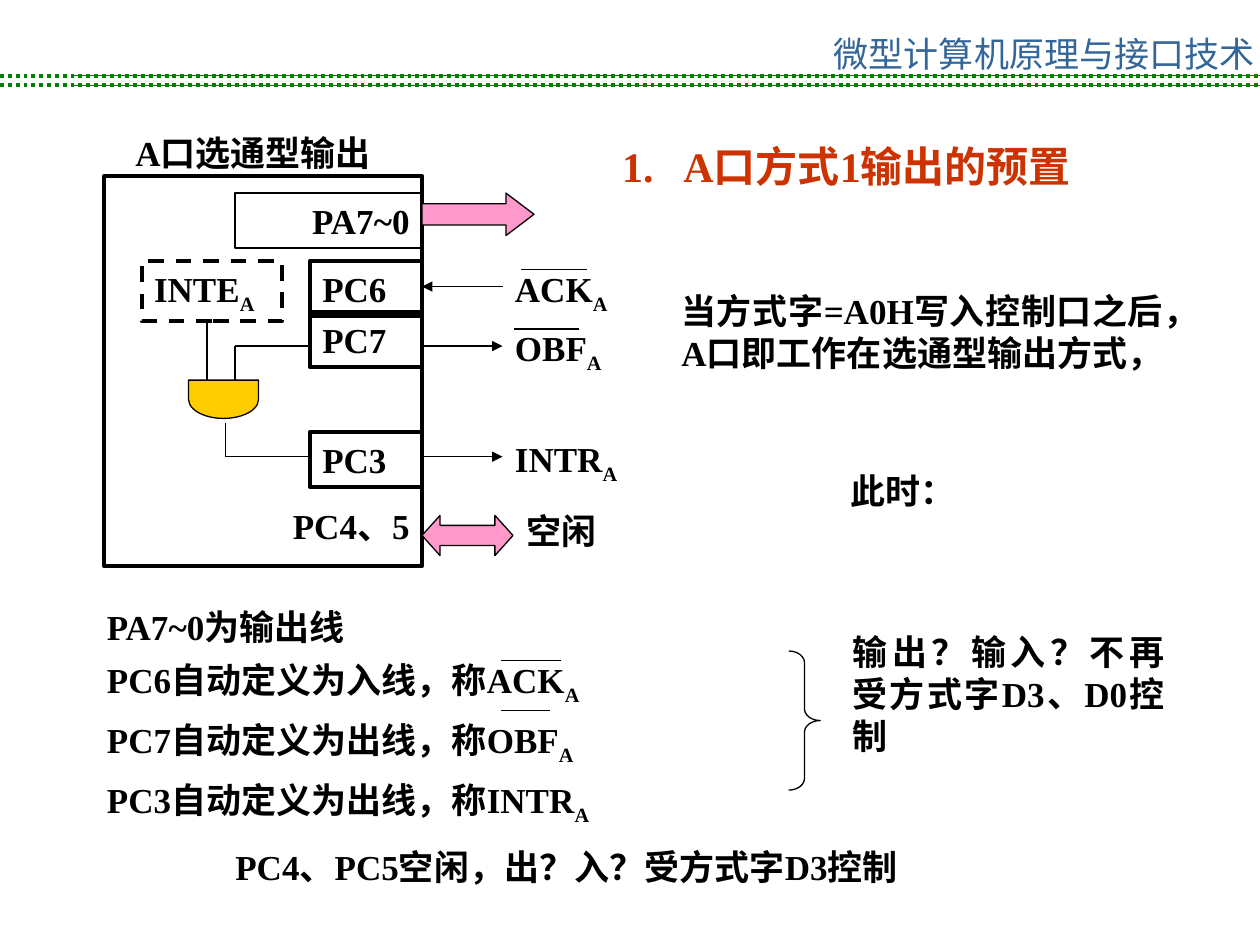
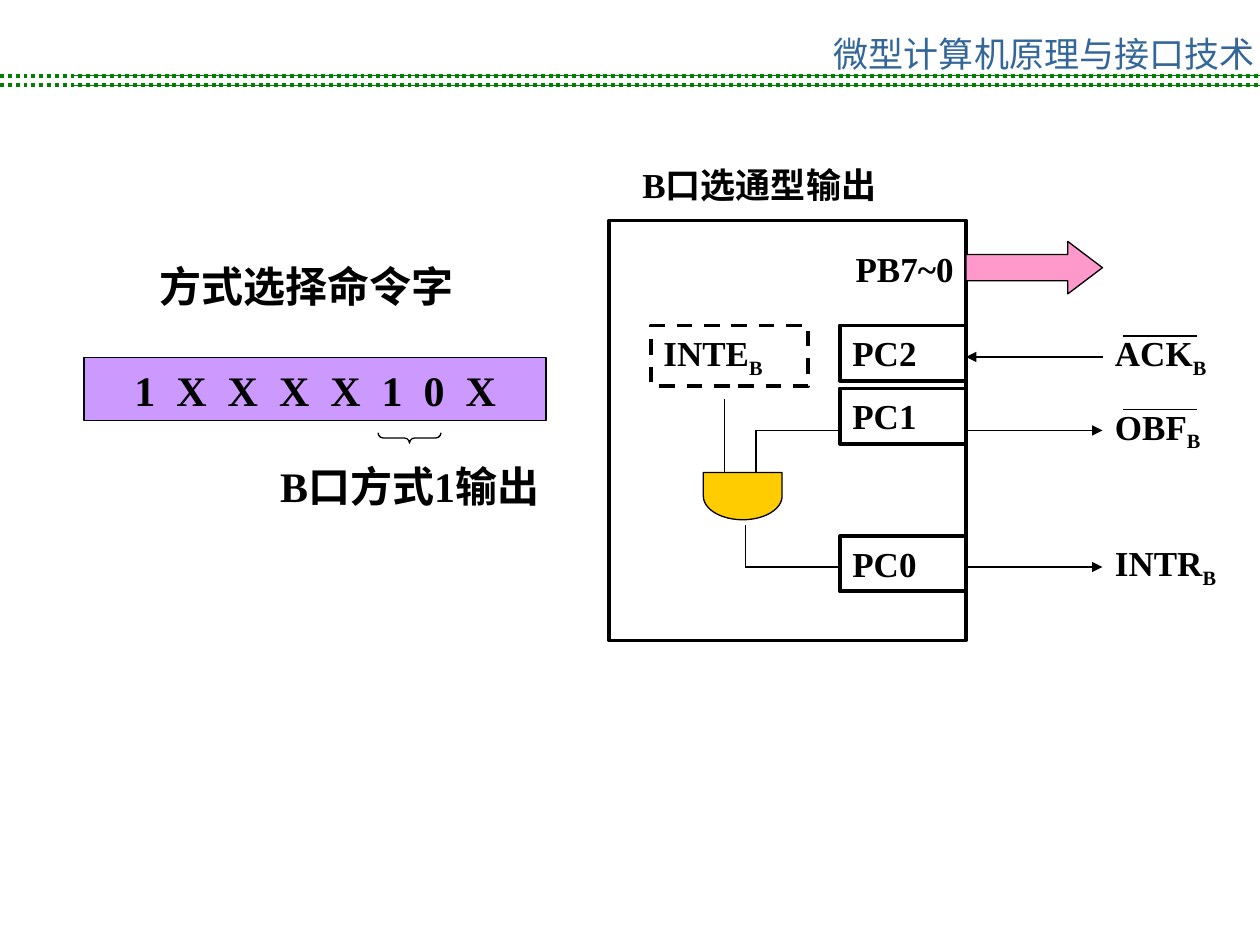
from dataclasses import dataclass
from typing import NamedTuple

from lxml import etree
from pptx import Presentation
from pptx.dml.color import RGBColor
from pptx.enum.dml import MSO_LINE_DASH_STYLE as Dash
from pptx.enum.shapes import MSO_CONNECTOR as Connector, MSO_SHAPE as Shape
from pptx.enum.text import MSO_ANCHOR as Anchor, PP_ALIGN as Align
from pptx.oxml.ns import qn
from pptx.util import Pt


@dataclass(frozen=True)
class Theme:
    ink: str = "000000"
    course: str = "336699"
    rule: str = "008000"
    heading: str = "CC3300"
    gate: str = "FFCC00"
    data_arrow: str = "FF99CC"
    command: str = "CC99FF"
    body_size: float = 20
    heading_size: float = 24
    thin: float = 0.75
    thick: float = 2.25
    latin: str = "Times New Roman"
    chinese: str = "Noto Sans CJK SC"


THEME = Theme()


class Box(NamedTuple):
    left: float
    top: float
    width: float
    height: float


class Signal(NamedTuple):
    """One handshake line; heights are measured from the chip's top."""
    name: str
    pin: str
    pin_top: float
    label_top: float
    wire_y: float
    incoming: bool = False
    bar_y: float = 0
    bar_inset: float = 0


@dataclass(frozen=True)
class Port:
    letter: str
    left: float
    top: float
    x_scale: float
    y_scale: float
    chip_height: float
    wire_length: float
    label_width: float
    arrow_width: float
    data_pins: str
    data_outlined: bool
    signals: tuple[Signal, ...]

    def x(self, offset: float) -> float:
        return self.left + offset * self.x_scale

    def y(self, offset: float) -> float:
        return self.top + offset * self.y_scale

    def box(self, left: float, top: float, width: float, height: float) -> Box:
        """Scale a place in the chip; text rows keep their own height."""
        return Box(self.x(left), self.y(top), width * self.x_scale, height)


def rgb(value: str) -> RGBColor:
    return RGBColor.from_string(value)


# Drawing helpers
def write(target, text: str, *, size: float = THEME.body_size, color: str = THEME.ink,
          bold: bool = True, font: str = THEME.latin, align=Align.LEFT,
          spacing: float = 1, inset: float = 7.2, right_inset: float = 7.2,
          tabs: tuple[float, ...] = ()) -> None:
    """Write paragraphs split by newlines; what follows "_" is a subscript."""
    frame = target.text_frame
    frame.word_wrap = True
    frame.vertical_anchor = Anchor.TOP
    frame.margin_left, frame.margin_right = Pt(inset), Pt(right_inset)
    frame.margin_top = frame.margin_bottom = Pt(3.6)
    for index, line in enumerate(text.split("\n")):
        paragraph = frame.add_paragraph() if index else frame.paragraphs[0]
        paragraph.alignment = align
        paragraph.line_spacing = spacing
        if tabs:
            stops = etree.SubElement(paragraph._p.get_or_add_pPr(), qn("a:tabLst"))
            for stop in tabs:
                etree.SubElement(stops, qn("a:tab"), pos=str(Pt(stop)), algn="l")
        for level, part in enumerate(line.split("_")):
            run = paragraph.add_run()
            run.text = part
            run.font.size, run.font.bold, run.font.name = Pt(size), bold, font
            run.font.color.rgb = rgb(color)
            properties = run._r.get_or_add_rPr()
            etree.SubElement(properties, qn("a:ea"), typeface=THEME.chinese)
            if level:
                properties.set("baseline", "-25000")


def add_text(slide, box: Box, text: str, **style) -> None:
    write(slide.shapes.add_textbox(*map(Pt, box)), text, **style)


def add_shape(slide, kind, box: Box, *, fill: str = "", weight: float = THEME.thin,
              dashed: bool = False, rotation: float = 0,
              adjust: tuple[float, ...] = ()):
    shape = slide.shapes.add_shape(kind, *map(Pt, box))
    shape.shadow.inherit = False
    shape.rotation = rotation
    for index, value in enumerate(adjust):
        shape.adjustments[index] = value
    if fill:
        shape.fill.solid()
        shape.fill.fore_color.rgb = rgb(fill)
    else:
        shape.fill.background()
    shape.line.color.rgb = rgb(THEME.ink)
    shape.line.width = Pt(weight)
    if dashed:
        shape.line.dash_style = Dash.DASH
    return shape


def add_line(slide, x1: float, y1: float, x2: float, y2: float, *,
             color: str = THEME.ink, weight: float = THEME.thin, arrow: str = "",
             dotted: bool = False) -> None:
    """Draw a line; arrow is "headEnd" for its start or "tailEnd" for its end."""
    line = slide.shapes.add_connector(Connector.STRAIGHT, *map(Pt, (x1, y1, x2, y2)))
    line.line.color.rgb = rgb(color)
    line.line.width = Pt(weight)
    if dotted:
        line.line.dash_style = Dash.ROUND_DOT
    if arrow:
        etree.SubElement(line.line._get_or_add_ln(), qn(f"a:{arrow}"), type="triangle")
    etree.SubElement(line._element.spPr, qn("a:effectLst"))


def add_brace(slide, box: Box, rotation: float = 0) -> None:
    curl = box.height / 12 / box.width
    add_shape(slide, Shape.RIGHT_BRACE, box, rotation=rotation, adjust=(curl, 0.5))


def add_page(deck):
    """Add a blank slide with the course name and the double dotted green rule."""
    slide = deck.slides.add_slide(deck.slide_layouts[6])
    add_text(slide, Box(469.4, 15, 250.6, 36), "微型计算机原理与接口技术", bold=False,
             color=THEME.course, font=THEME.chinese, right_inset=0)
    for core_left, y in ((41, 43.2), (42.5, 48.8)):
        add_line(slide, core_left, y, 720, y, color=THEME.rule)
        add_line(slide, 0, y, 720, y, color=THEME.rule, weight=THEME.thick, dotted=True)
    return slide


# Port diagram, laid out from the chip's top left corner
CHIP_WIDTH, PIN_LEFT, ROW, SUB_ROW = 204, 132, 31.5, 34.5
GATE_INPUTS, GATE_TOP, GATE_WIDTH, GATE_HEIGHT = (66, 84), 144, 45, 27


def draw_port(slide, port: Port) -> None:
    edge = port.x(CHIP_WIDTH)
    pin_x = port.x(PIN_LEFT)
    wire_end = edge + port.wire_length
    _, feedback, interrupt = port.signals

    add_text(slide, port.box(12, -36, CHIP_WIDTH, ROW), f"{port.letter}口选通型输出")
    add_shape(slide, Shape.RECTANGLE,
              Box(port.left, port.top, edge - port.left, port.chip_height),
              weight=THEME.thick)

    # Data pins
    data_box = port.box(84, 12, 120, ROW)
    if port.data_outlined:
        write(add_shape(slide, Shape.RECTANGLE, data_box), port.data_pins, align=Align.RIGHT)
    else:
        add_text(slide, data_box, port.data_pins, align=Align.RIGHT)
    add_shape(slide, Shape.RIGHT_ARROW,
              Box(edge, port.y(12), port.arrow_width, 30 * port.y_scale),
              fill=THEME.data_arrow, adjust=(0.5, 0.66))

    # Handshake pins and their signals
    for signal in port.signals:
        pin = add_shape(slide, Shape.RECTANGLE,
                        port.box(PIN_LEFT, signal.pin_top, CHIP_WIDTH - PIN_LEFT, ROW),
                        weight=THEME.thick)
        write(pin, signal.pin)
        wire_y = port.y(signal.wire_y)
        add_line(slide, edge, wire_y, wire_end, wire_y,
                 arrow="headEnd" if signal.incoming else "tailEnd")
        add_text(slide, Box(wire_end, port.y(signal.label_top), port.label_width, SUB_ROW),
                 f"{signal.name}_{port.letter}")
        if signal.bar_y:
            bar_x, bar_y = wire_end + signal.bar_inset, port.y(signal.bar_y)
            add_line(slide, bar_x, bar_y, bar_x + 42 * port.x_scale, bar_y)

    # Interrupt enable and its gate
    enable = add_shape(slide, Shape.RECTANGLE, port.box(24, 60, 90, SUB_ROW),
                       weight=THEME.thick, dashed=True)
    write(enable, f"INTE_{port.letter}")
    enable_x, feedback_x = map(port.x, GATE_INPUTS)
    gate_top, feedback_y = port.y(GATE_TOP), port.y(feedback.wire_y)
    add_line(slide, enable_x, port.y(102), enable_x, gate_top)
    add_line(slide, feedback_x, feedback_y, feedback_x, gate_top)
    add_line(slide, feedback_x, feedback_y, pin_x, feedback_y)

    width, height = GATE_WIDTH * port.x_scale, GATE_HEIGHT * port.y_scale
    center_x, center_y = (enable_x + feedback_x) / 2 + 1.4, gate_top + height / 2
    add_shape(slide, Shape.FLOWCHART_DELAY,
              Box(center_x - height / 2, center_y - width / 2, height, width),
              fill=THEME.gate, rotation=90)
    output_x, output_y = port.x(78), port.y(interrupt.wire_y)
    add_line(slide, output_x, port.y(174), output_x, output_y)
    add_line(slide, output_x, output_y, pin_x, output_y)


def signals(pins: tuple[str, str, str], bar_insets: tuple[float, float]) -> tuple[Signal, ...]:
    return (
        Signal("ACK", pins[0], 60, 60, 78, True, 66, bar_insets[0]),
        Signal("OBF", pins[1], 96, 102, 120, False, 108, bar_insets[1]),
        Signal("INTR", pins[2], 180.5, 180, 198),
    )


PORT_A = Port("A", 59.6, 100.6, 0.89, 0.81, 223, 46, 74, 64, "PA7~0", True,
              signals(("PC6", "PC7", "PC3"), (10.8, 6.5)))
PORT_B = Port("B", 348, 126, 1, 1, 240, 78, 90, 78, "PB7~0", False,
              signals(("PC2", "PC1", "PC0"), (12, 12)))


# Slides
def port_a_slide(deck) -> None:
    slide = add_page(deck)
    draw_port(slide, PORT_A)

    # Idle pins
    edge = PORT_A.x(CHIP_WIDTH)
    add_text(slide, Box(edge - 118, 284.5, 118, ROW), "PC4、5", align=Align.RIGHT)
    add_shape(slide, Shape.LEFT_RIGHT_ARROW, Box(edge, 294.5, 52, 23),
              fill=THEME.data_arrow, adjust=(0.5, 0.45))
    add_text(slide, Box(294, 287.5, 68, ROW), "空闲")

    # Explanation
    add_text(slide, Box(348.5, 77, 340.5, 36), "1.\tA口方式1输出的预置",
             size=THEME.heading_size, color=THEME.heading, tabs=(35,))
    for box, note in (
        (Box(382.3, 162, 289.5, 79), "当方式字=A0H写入控制口之后，A口即工作在选通型输出方式，"),
        (Box(479, 264.5, 102, ROW), "此时："),
        (Box(480.2, 356.5, 192.3, 79), "输出？输入？不再受方式字D3、D0控制"),
        (Box(127.4, 479.5, 419, ROW), "PC4、PC5空闲，出？入？受方式字D3控制"),
    ):
        add_text(slide, box, note, align=Align.JUSTIFY)

    # Pin roles
    add_text(slide, Box(54, 336.2, 334, 140),
             "PA7~0为输出线\nPC6自动定义为入线，称ACK_A\n"
             "PC7自动定义为出线，称OBF_A\nPC3自动定义为出线，称INTR_A",
             align=Align.JUSTIFY, spacing=1.25)
    for bar_y, bar_width in ((377.6, 34), (406, 28)):
        add_line(slide, 286.5, bar_y, 286.5 + bar_width, bar_y)
    add_brace(slide, Box(450.7, 372, 18, 79.5))


def port_b_slide(deck) -> None:
    slide = add_page(deck)

    # Mode command word
    add_text(slide, Box(84, 145.5, 204, 36), "方式选择命令字", size=THEME.heading_size)
    bits = "1XXXX10X"
    advances = [29.33 if bit == "X" else 24 for bit in bits]
    command = add_shape(slide, Shape.RECTANGLE, Box(48, 204.5, 264, 36), fill=THEME.command)
    write(command, "\t".join(bits), size=THEME.heading_size, inset=28.8,
          tabs=tuple(round(sum(advances[:n]), 2) for n in range(1, len(bits))))
    add_brace(slide, Box(231, 232.3, 6, 36), rotation=90)
    add_text(slide, Box(132, 259.5, 204, 36), "B口方式1输出",
             size=THEME.heading_size, align=Align.CENTER)

    draw_port(slide, PORT_B)


def main() -> None:
    deck = Presentation()
    deck.slide_width, deck.slide_height = Pt(720), Pt(540)
    port_a_slide(deck)
    port_b_slide(deck)
    deck.save("out.pptx")


if __name__ == "__main__":
    main()
